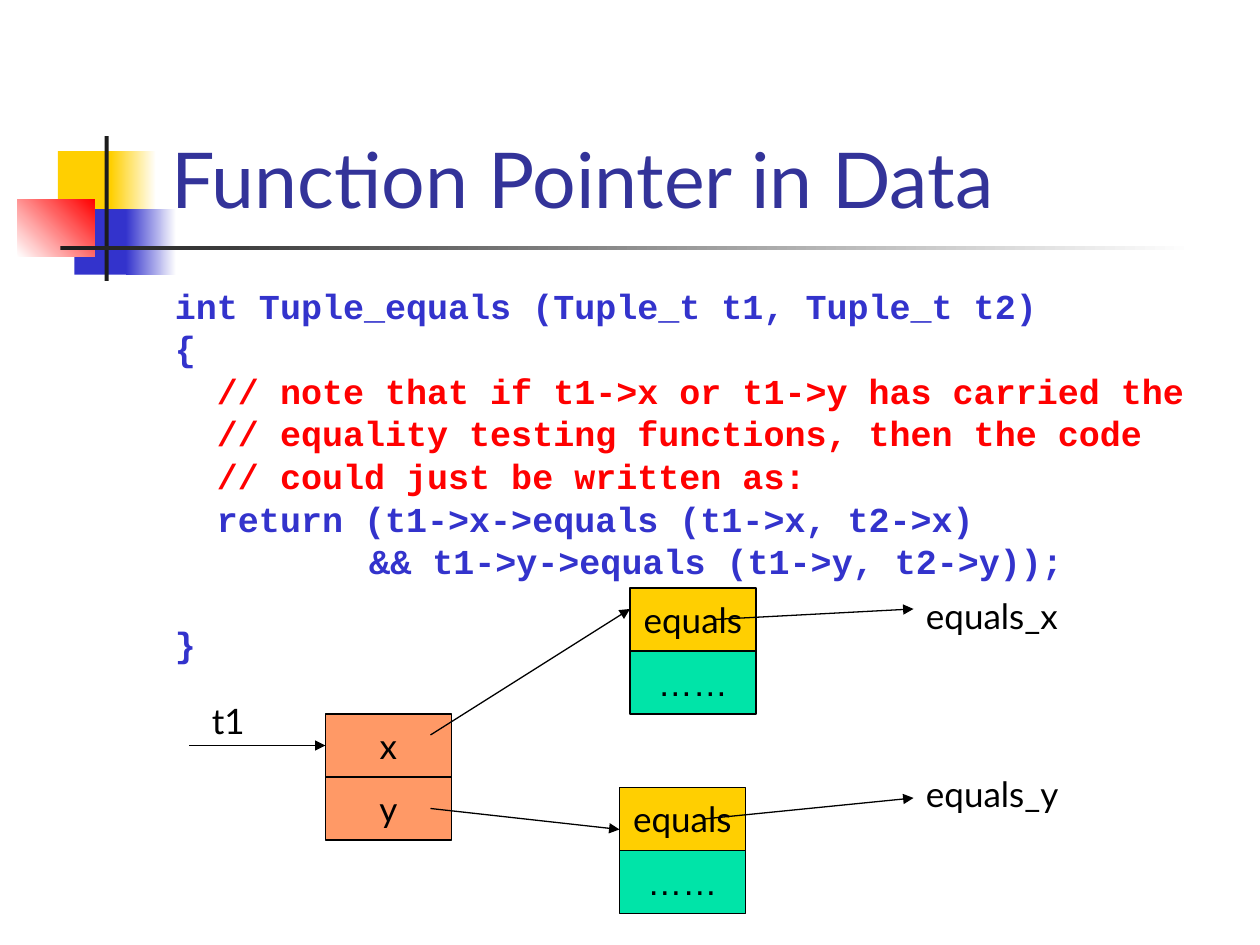
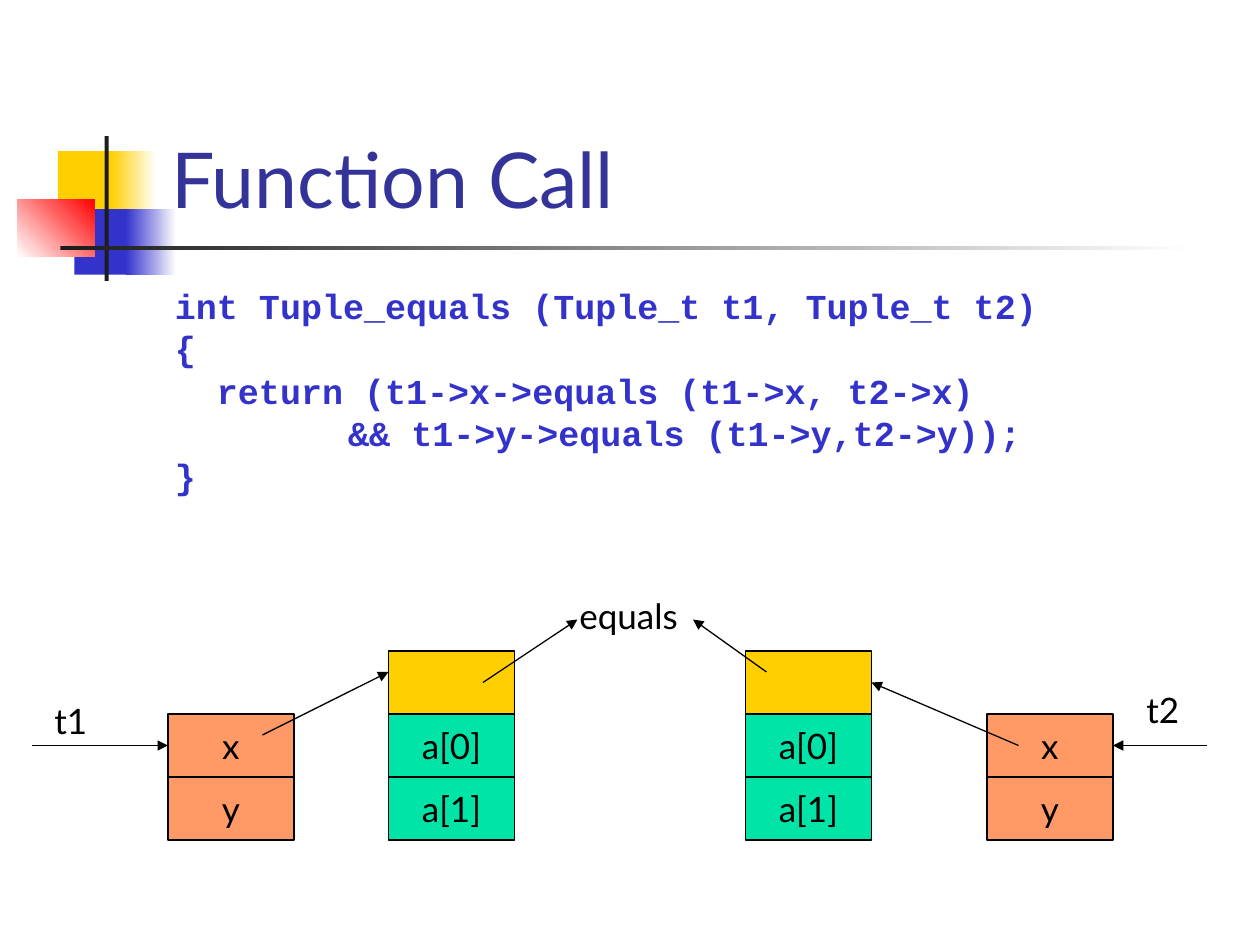
from dataclasses import dataclass

from lxml import etree
from pptx import Presentation
from pptx.dml.color import RGBColor
from pptx.enum.shapes import MSO_CONNECTOR, MSO_SHAPE
from pptx.enum.text import MSO_ANCHOR, PP_ALIGN
from pptx.oxml.ns import qn
from pptx.slide import Slide
from pptx.util import Pt

RECT = MSO_SHAPE.RECTANGLE
LINE = MSO_CONNECTOR.STRAIGHT
TOP, MIDDLE, BOTTOM = MSO_ANCHOR.TOP, MSO_ANCHOR.MIDDLE, MSO_ANCHOR.BOTTOM
CENTER = PP_ALIGN.CENTER

# Colours and fonts
WHITE, BLACK, DARK = "FFFFFF", "000000", "1C1C1C"
GOLD, GREEN, ORANGE = "FFCF01", "00E4A8", "FF9966"
BLUE, NAVY, RED = "3333CC", "333399", "FF0000"
SANS, MONO, DOTS = "Lato", "Courier New", "Arial"

# Cell size, code spacing
WIDE, HIGH = 72, 36
GAP, PITCH, HANG = 5.1, 23.3, 27


@dataclass
class Block:
    left: float
    top: float
    width: float
    height: float
    fill: str
    fade: str = ""
    angle: float = 0


@dataclass
class Cell:
    text: str
    fill: str
    font: str = SANS


@dataclass
class Stack:
    left: float
    top: float
    cells: list[Cell]


@dataclass
class Label:
    left: float
    top: float
    width: float
    text: str


@dataclass
class Arrow:
    x1: float
    y1: float
    x2: float
    y2: float


@dataclass
class Code:
    text: str
    color: str = BLUE
    skip: int = 0


# Master decoration, back to front
DECOR = [
    Block(33.12, 86.4, 34.56, 37.44, GOLD),
    Block(63.36, 86.4, 25.92, 37.44, GOLD, WHITE),
    Block(42.48, 119.52, 33.12, 37.44, BLUE),
    Block(72, 119.52, 28.8, 37.44, BLUE, WHITE),
    Block(10.08, 113.76, 43.92, 33.12, WHITE, RED, 45),
    Block(59.76, 77.76, 2.4, 82.8, DARK),
    Block(34.56, 140.4, 648, 2.4, DARK, WHITE),
]


def rgb(code: str) -> RGBColor:
    return RGBColor.from_string(code)


def add_run(para, text: str, size: float, color: str,
            font: str = SANS, bold: bool = False) -> None:
    run = para.add_run()
    run.text = text
    run.font.name = font
    run.font.size = Pt(size)
    run.font.bold = bold
    run.font.color.rgb = rgb(color)


def add_box(slide: Slide, left: float, top: float, width: float,
            height: float, anchor=TOP):
    box = slide.shapes.add_textbox(Pt(left), Pt(top), Pt(width), Pt(height))
    frame = box.text_frame
    frame.word_wrap = True
    frame.vertical_anchor = anchor
    return frame


def add_block(slide: Slide, block: Block):
    shape = slide.shapes.add_shape(RECT, Pt(block.left), Pt(block.top),
                                   Pt(block.width), Pt(block.height))
    shape.shadow.inherit = False
    shape.line.fill.background()
    if block.fade:
        shape.fill.gradient()
        shape.fill.gradient_angle = block.angle
        for stop, color in zip(shape.fill.gradient_stops,
                               (block.fill, block.fade)):
            stop.color.rgb = rgb(color)
    else:
        shape.fill.solid()
        shape.fill.fore_color.rgb = rgb(block.fill)
    return shape


def add_stack(slide: Slide, stack: Stack) -> None:
    for row, cell in enumerate(stack.cells):
        shape = add_block(slide, Block(stack.left, stack.top + row * HIGH,
                                       WIDE, HIGH, cell.fill))
        shape.line.color.rgb = rgb(BLACK)
        shape.line.width = Pt(0.75)
        if cell.text:
            frame = shape.text_frame
            frame.word_wrap = False
            frame.vertical_anchor = MIDDLE
            para = frame.paragraphs[0]
            para.alignment = CENTER
            add_run(para, cell.text, 20, BLACK, cell.font)


def add_label(slide: Slide, label: Label) -> None:
    frame = add_box(slide, label.left, label.top, label.width, 31)
    add_run(frame.paragraphs[0], label.text, 20, BLACK)


def add_arrow(slide: Slide, arrow: Arrow) -> None:
    link = slide.shapes.add_connector(LINE, Pt(arrow.x1), Pt(arrow.y1),
                                      Pt(arrow.x2), Pt(arrow.y2))
    link.line.color.rgb = rgb(BLACK)
    link.line.width = Pt(0.75)
    tail = etree.SubElement(link.line._get_or_add_ln(), qn("a:tailEnd"))
    tail.set("type", "triangle")
    etree.SubElement(link._element.spPr, qn("a:effectLst"))


def add_code(slide: Slide, lines: list[Code]) -> None:
    frame = add_box(slide, 92.88, 159.12, 612, 324)
    frame.margin_top = Pt(8)
    for row, line in enumerate(lines):
        para = frame.add_paragraph() if row else frame.paragraphs[0]
        props = para._p.get_or_add_pPr()
        props.set("marL", str(Pt(HANG)))
        props.set("indent", str(Pt(-HANG)))
        para.line_spacing = 0.8
        if row:
            para.space_before = Pt(GAP + line.skip * PITCH)
        add_run(para, line.text, 20, line.color, MONO, True)


def add_page(deck, title: str, code: list[Code], stacks: list[Stack],
             labels: list[Label], arrows: list[Arrow]) -> None:
    slide = deck.slides.add_slide(deck.slide_layouts[6])
    slide.background.fill.solid()
    slide.background.fill.fore_color.rgb = rgb(WHITE)
    for block in DECOR:
        add_block(slide, block)
    frame = add_box(slide, 90.72, 16.56, 613.44, 115.2, BOTTOM)
    add_run(frame.paragraphs[0], title, 44, NAVY)
    add_code(slide, code)
    for stack in stacks:
        add_stack(slide, stack)
    for label in labels:
        add_label(slide, label)
    for arrow in arrows:
        add_arrow(slide, arrow)


def main() -> None:
    deck = Presentation()
    deck.slide_width, deck.slide_height = Pt(720), Pt(540)

    # Parts used on both slides
    head = [Code("int Tuple_equals (Tuple_t t1, Tuple_t t2)"), Code("{")]
    call = Code("  return (t1->x->equals (t1->x, t2->x)")
    pair = [Cell("x", ORANGE), Cell("y", ORANGE)]
    data = [Cell("equals", GOLD), Cell("……", GREEN, DOTS)]
    item = [Cell("", GOLD), Cell("a[0]", GREEN), Cell("a[1]", GREEN)]

    # Slide 1: each field carries its own equals function
    add_page(
        deck, "Function Pointer in Data",
        head + [
            Code("  // note that if t1->x or t1->y has carried the", RED),
            Code("  // equality testing functions, then the code", RED),
            Code("  // could just be written as:", RED),
            call,
            Code("\t\t    && t1->y->equals (t1->y, t2->y));"),
            Code("}", skip=1),
        ],
        [Stack(360, 336, data), Stack(186, 408, pair), Stack(354, 450, data)],
        [Label(522, 336, 96, "equals_x"), Label(522, 438, 96, "equals_y"),
         Label(114, 396, 42, "t1")],
        [Arrow(108, 426, 186, 426), Arrow(246, 420, 360, 348),
         Arrow(246, 462, 354, 474), Arrow(408, 354, 522, 348),
         Arrow(402, 468, 522, 456)],
    )

    # Slide 2: both tuples reach the same function
    add_page(
        deck, "Function Call",
        head + [
            call,
            Code("\t\t   && t1->y->equals (t1->y,t2->y));"),
            Code("}"),
        ],
        [Stack(96, 408, pair), Stack(222, 372, item),
         Stack(426, 372, item), Stack(564, 408, pair)],
        [Label(324, 336, 78, "equals"), Label(24, 396, 42, "t1"),
         Label(648, 390, 42, "t2")],
        [Arrow(18, 426, 96, 426), Arrow(150, 420, 222, 384),
         Arrow(276, 390, 330, 354), Arrow(690, 426, 636, 426),
         Arrow(582, 426, 498, 390), Arrow(438, 384, 396, 354)],
    )
    deck.save("out.pptx")


if __name__ == "__main__":
    main()
